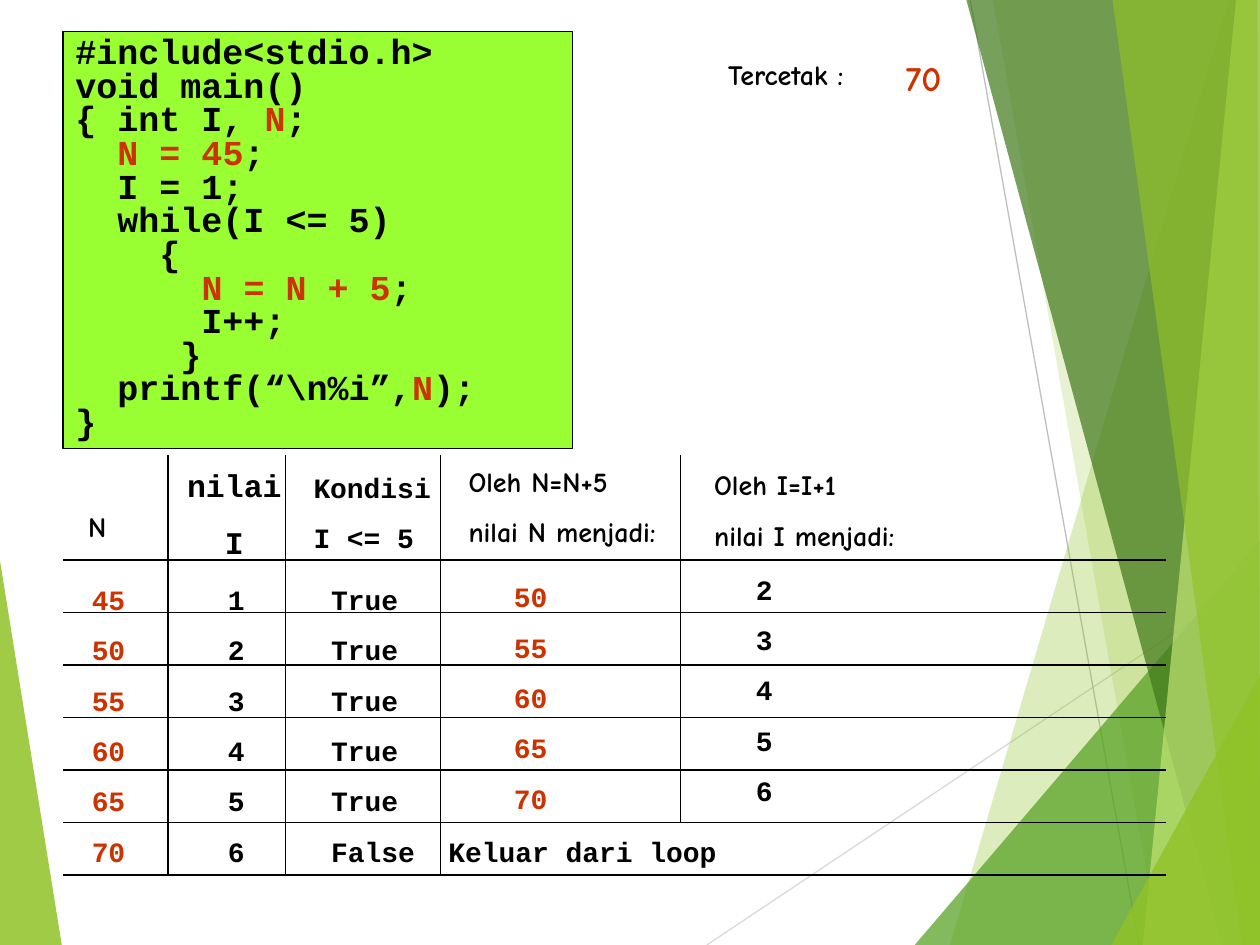
from lxml.etree import SubElement as Sub
from pptx import Presentation
from pptx.dml.color import RGBColor as RGB
from pptx.enum.shapes import MSO_CONNECTOR as CONN, MSO_SHAPE as SHAPE
from pptx.enum.text import MSO_ANCHOR as ANCHOR, MSO_AUTO_SIZE as AUTO, PP_ALIGN as ALIGN
from pptx.oxml.ns import qn
from pptx.util import Inches, Pt

# The slide is a grid of 100 columns by 75 rows; all lengths are in cells.
COLS, ROWS = 100, 75
CELL = Inches(0.1)
BLACK, RED, LIME, LEAF = "000000", "CC3300", "99FF33", "90C226"
CODE, COMIC = "Courier New", "Comic Neue"

deck = Presentation()
deck.slide_width, deck.slide_height = COLS * CELL, ROWS * CELL
slide = deck.slides.add_slide(deck.slide_layouts[6])
shapes = slide.shapes


def paint(fill, code, alpha=100):
    fill.solid()
    fill.fore_color.rgb = RGB.from_string(code)
    if alpha < 100:
        tint = fill._xPr.find(qn("a:solidFill"))[0]
        Sub(tint, qn("a:alpha"), val=str(alpha * 1000))


def write(shape, text, size=16, font=CODE, color=BLACK, gap=1.5, align=ALIGN.LEFT, wrap=False):
    """Fill a shape with one paragraph a line; parts between bars are red."""
    frame = shape.text_frame
    frame.word_wrap, frame.auto_size = wrap, AUTO.SHAPE_TO_FIT_TEXT
    frame.vertical_anchor = ANCHOR.TOP
    for i, line in enumerate(text.split("\n")):
        para = frame.paragraphs[0] if i == 0 else frame.add_paragraph()
        para.alignment, para.line_spacing = align, gap
        for j, part in enumerate(line.split("|")):
            if part:
                run = para.add_run()
                run.text = part
                run.font.name, run.font.size, run.font.bold = font, Pt(size), True
                paint(run.font.fill, RED if j % 2 else color)


# Lines: backdrop rays first, then the rules of the trace table
top, step, left, right = 44.44, 25 / 6, 5, 92.5
base = top + 6 * step
rays = [(56.1, 75, 100, 45.7, "D9D9D9"), (77, 0, 90.4, 75, "BFBFBF")]
rules = [(x, 36.15, x, end, BLACK)
         for x, end in [(13.33, base), (22.66, base), (34.99, base), (54, base - step)]]
rules += [(left, top + i * step, right, top + i * step, BLACK) for i in range(7)]

# Backdrop facets: colour, opacity, corners
facets = [
    (LEAF, 85, [(0, 44.5), (4.9, 75), (0, 75)]),
    (LEAF, 30, [(97.5, 0), (75.4, 75), (100, 75), (100, 0)]),
    (LEAF, 20, [(78.8, 0), (92, 75), (100, 75), (100, 0)]),
    ("54A021", 72, [(72.6, 75), (100, 42.9), (100, 75)]),
    ("3F7819", 70, [(76.7, 0), (97, 75), (100, 75), (100, 0)]),
    ("C0E474", 70, [(98.1, 0), (90.7, 75), (100, 75), (100, 0)]),
    (LEAF, 65, [(88.3, 0), (98.6, 75), (100, 75), (99.8, 0)]),
    (LEAF, 80, [(88.2, 75), (100, 53.6), (100, 75)]),
]
for n, (color, alpha, dots) in enumerate(facets):
    first, *rest = [(round(x * CELL), round(y * CELL)) for x, y in dots]
    path = shapes.build_freeform(*first)
    path.add_line_segments(rest, close=True)
    facet = path.convert_to_shape()
    facet.shadow.inherit = False
    facet.line.fill.background()
    paint(facet.fill, color, alpha)
    for x1, y1, x2, y2, ink in (rays if n == 0 else rules if n == 7 else []):
        rule = shapes.add_connector(
            CONN.STRAIGHT, *(round(v * CELL) for v in (x1, y1, x2, y2)))
        rule.line.width = Pt(0.75)
        paint(rule.line.fill, ink)
        Sub(rule._element.spPr, qn("a:effectLst"))

# Program listing
code = """#include<stdio.h>
void main()
{ int I, |N|;
  |N = 45|;
  I = 1;
  while(I <= 5)
    {
      |N = N + 5|;
      I++;
     }
  printf(“\\n%i”,|N|);
}"""
box = shapes.add_shape(
    SHAPE.RECTANGLE, *(round(v * CELL) for v in (left, 2.5, 40.45, 33.1)))
box.shadow.inherit = False
paint(box.fill, LIME)
paint(box.line.fill, BLACK)
box.line.width = Pt(0.75)
write(box, code, size=20, gap=0.8, wrap=True)

# Loose text: left, top, width, height, words, format
comic = dict(font=COMIC)
label = dict(font=COMIC, gap=1)
red = dict(color=RED)
notes = [
    (56.8, 4.05, 11.8, 3.7, "Tercetak :", label),
    (70.9, 4, 5.4, 4.4, "70", dict(label, size=20, color=RED)),
    (6, 39.95, 3.8, 3.7, "N", label),
    (13.8, 35, 9.6, 10, "nilai\nI", dict(size=18, align=ALIGN.CENTER)),
    (23.9, 35.5, 11.7, 9, "Kondisi\nI <= 5", {}),
    (36.2, 35.05, 17.5, 9, "Oleh N=N+5\nnilai N menjadi:", comic),
    (55.7, 35.3, 17, 9, "Oleh I=I+1\nnilai I menjadi:", comic),
    (6.3, 44.4, 5.2, 25, "\n".join(str(n) for n in range(45, 71, 5)), red),
    (17.1, 44.4, 3.7, 25, "\n".join("123456"), {}),
    (25.3, 44.4, 9.2, 25, "\n".join(["True"] * 5 + ["False"]), {}),
    (39.8, 44.2, 5.2, 21, "\n".join(str(n) for n in range(50, 71, 5)), red),
    (59, 43.6, 3.7, 21, "\n".join("23456"), {}),
    (34.6, 64.4, 23.9, 5, "Keluar dari loop", {}),
]
for x, y, w, h, words, form in notes:
    note = shapes.add_textbox(*(round(v * CELL) for v in (x, y, w, h)))
    write(note, words, **form)

deck.save("out.pptx")
